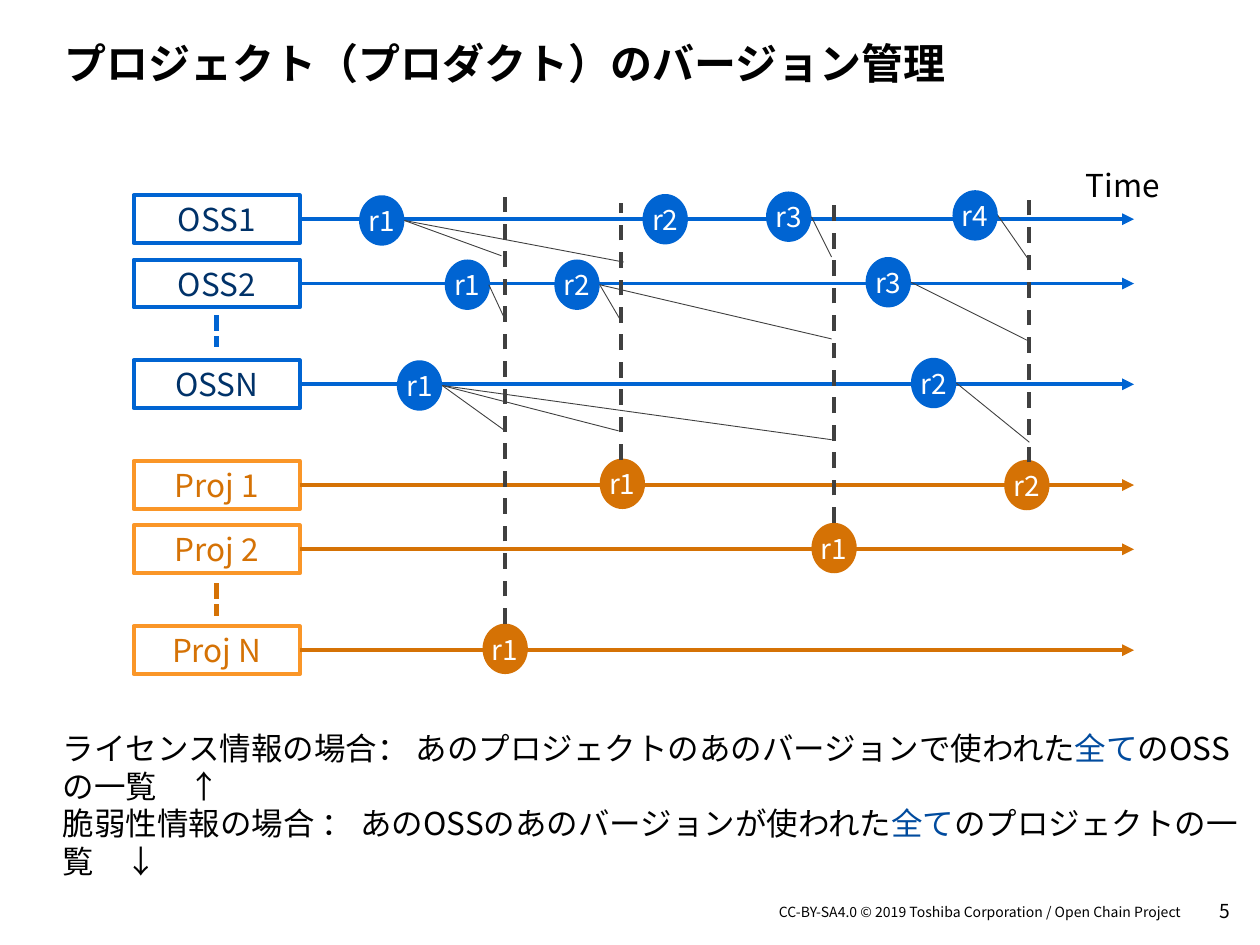
import pptx
import pptx.util
import pptx.dml.color
import pptx.enum.dml
import pptx.enum.shapes
import pptx.enum.text
import pptx.oxml.ns
from lxml import etree

RGB = pptx.dml.color.RGBColor
SHAPE = pptx.enum.shapes.MSO_SHAPE
DASH = pptx.enum.dml.MSO_LINE
ALIGN = pptx.enum.text.PP_ALIGN
ANCHOR = pptx.enum.text.MSO_ANCHOR
Pt = pptx.util.Pt
qn = pptx.oxml.ns.qn

SCALE = 9144  # EMU per px, 100 px to the inch
FONT = "Noto Sans CJK JP"
BLACK = RGB(0, 0, 0)
WHITE = RGB(255, 255, 255)
BLUE = RGB(0x00, 0x64, 0xD2)
NAVY = RGB(0x00, 0x32, 0x69)
ACCENT = RGB(0x00, 0x4B, 0x9E)
ORANGE = RGB(0xD5, 0x72, 0x05)
AMBER = RGB(0xFA, 0x96, 0x28)
GRAY = RGB(0x40, 0x40, 0x40)

OSS = (BLUE, BLUE, NAVY)  # axis, border, text
PROJ = (ORANGE, AMBER, ORANGE)

# Name, style, axis height, releases as (left, top)
ROWS = [
    ("OSS1", OSS, 174, [(285, 155), (510, 154), (608, 152), (756, 151)]),
    ("OSS2", OSS, 225, [(353, 206), (440, 206), (687, 204)]),
    ("OSSN", OSS, 305, [(315, 286), (723, 284)]),
    ("Proj 1", PROJ, 385, [(476, 364), (797, 365)]),
    ("Proj 2", PROJ, 436, [(644, 415)]),
    ("Proj N", PROJ, 516, [(383, 495)]),
]
GAPS = [(250, 275, BLUE), (463, 489, ORANGE)]
DROPS = [(401, 495, 155), (493, 365, 161), (662, 415, 155), (817, 367, 155)]

# Right edge of an OSS release, then the points where projects pick it up
LINKS = [
    ((321, 175), [(398, 203), (495, 208)]),
    ((388, 226), [(401, 254)]),
    ((351, 306), [(401, 342), (491, 342), (660, 349)]),
    ((476, 226), [(493, 255), (660, 269)]),
    ((644, 172), [(660, 204)]),
    ((792, 171), [(817, 207)]),
    ((723, 224), [(815, 270)]),
    ((759, 304), [(817, 351)]),
]
NOTES = [
    ("ライセンス情報の場合： あのプロジェクトのあのバージョンで使われた", "全て",
     "のOSSの一覧\u3000↑".replace("\u3000", "　")),
    ("脆弱性情報の場合 ： あのOSSのあのバージョンが使われた", "全て",
     "のプロジェクトの一覧　↓"),
]
NOTES[0] = NOTES[0][:2] + ("のOSSの一覧　↑",)


def px(*values):
    return [pptx.util.Emu(v * SCALE) for v in values]


def style(run, size, color, bold=False):
    font = run.font
    font.name, font.size, font.bold = FONT, Pt(size), bold
    font.color.rgb = color
    etree.SubElement(font._element, qn("a:ea"), typeface=FONT)


def fill_text(shape, text, size, color, align, pad=(0, 0, 0, 0), bold=False):
    frame = shape.text_frame
    frame.margin_left, frame.margin_top, frame.margin_right, frame.margin_bottom = px(*pad)
    frame.vertical_anchor = ANCHOR.MIDDLE
    frame.text = text
    para = frame.paragraphs[0]
    para.alignment = align
    style(para.runs[0], size, color, bold)
    return frame


def add_node(slide, kind, box, text, size, fill, color, edge=None):
    node = slide.shapes.add_shape(kind, *px(*box))
    node.shadow.inherit = False
    node.fill.solid()
    node.fill.fore_color.rgb = fill
    if edge is None:
        node.line.fill.background()
    else:
        node.line.color.rgb = edge
        node.line.width = Pt(2.25)
    fill_text(node, text, size, color, ALIGN.CENTER)


def add_line(slide, start, end, color, width, dash=None, arrow=False):
    line = slide.shapes.add_connector(
        pptx.enum.shapes.MSO_CONNECTOR.STRAIGHT, *px(*start, *end))
    line.line.color.rgb = color
    line.line.width = Pt(width)
    if dash is not None:
        line.line.dash_style = dash
    if arrow:
        etree.SubElement(line.line._get_or_add_ln(), qn("a:tailEnd"), type="triangle")
    etree.SubElement(line._element.spPr, qn("a:effectLst"))


def add_label(slide, box, text, size, align=ALIGN.LEFT, wrap=False, **extra):
    label = slide.shapes.add_textbox(*px(*box))
    frame = fill_text(label, text, size, BLACK, align, **extra)
    frame.word_wrap = wrap
    return frame


def add_notes(slide):
    frame = slide.shapes.add_textbox(*px(40, 574, 953, 130)).text_frame
    frame.word_wrap = True
    for i, parts in enumerate(NOTES):
        para = frame.add_paragraph() if i else frame.paragraphs[0]
        para.line_spacing = Pt(21.5)
        for part, color in zip(parts, (BLACK, ACCENT, BLACK)):
            run = para.add_run()
            run.text = part
            style(run, 18, color)


def add_chart_rows(slide):
    for name, (axis, edge, ink), y, _ in ROWS:
        add_node(slide, SHAPE.RECTANGLE, (106, y - 19, 132, 38), name, 18, WHITE, ink, edge)
        add_line(slide, (238, y), (900, y), axis, 2.25, arrow=True)
    for top, end, color in GAPS:
        add_line(slide, (172, top), (172, end), color, 3, DASH.SQUARE_DOT)
    for _, (axis, _, _), _, spots in ROWS:
        for i, (x, y) in enumerate(spots, 1):
            add_node(slide, SHAPE.OVAL, (x, y, 36, 40), f"r{i}", 16, axis, WHITE)


def add_links(slide):
    for x, low, high in DROPS:
        add_line(slide, (x, low), (x, high), GRAY, 2.25, DASH.DASH)
    for start, ends in LINKS:
        for end in ends:
            add_line(slide, end, start, GRAY, 0.5)


def main():
    deck = pptx.Presentation()
    deck.slide_width, deck.slide_height = px(1000, 750)
    slide = deck.slides.add_slide(deck.slide_layouts[6])
    title = add_label(slide, (0, 0, 1000, 82), "プロジェクト（プロダクト）のバージョン管理",
                      24, wrap=True, pad=(51, 12, 47, 12), bold=True)
    title.vertical_anchor = ANCHOR.BOTTOM
    title.paragraphs[0].line_spacing = 0.9
    add_chart_rows(slide)
    add_links(slide)
    add_notes(slide)
    add_label(slide, (852, 127, 82, 40), "Time", 18, pad=(10, 5, 10, 5))
    add_label(slide, (582, 717, 356, 13),
              "CC-BY-SA4.0 © 2019 Toshiba Corporation / Open Chain Project", 8, ALIGN.RIGHT)
    add_label(slide, (942, 703, 34, 40), "5", 11, ALIGN.RIGHT)
    deck.save("out.pptx")


if __name__ == "__main__":
    main()
